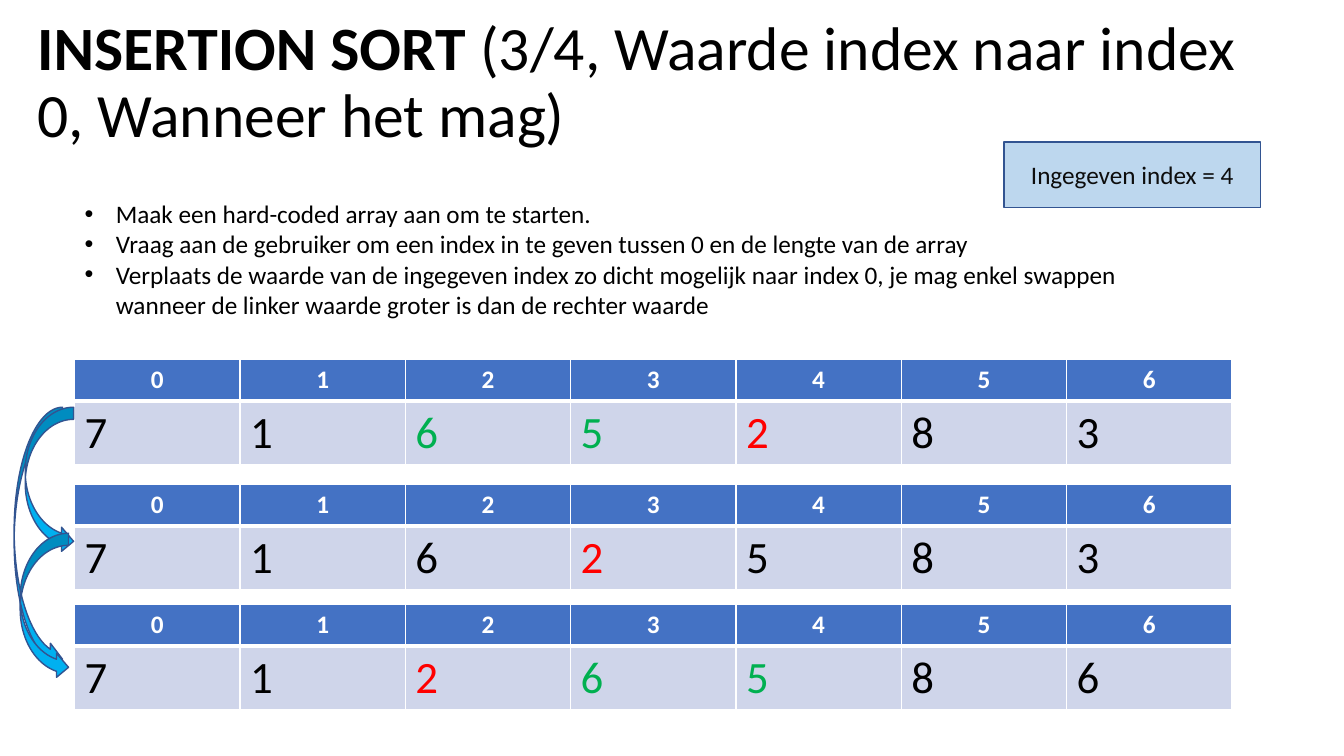
from dataclasses import dataclass

from lxml.etree import SubElement
from pptx import Presentation
from pptx.dml.color import RGBColor
from pptx.enum.shapes import MSO_SHAPE as Preset
from pptx.enum.text import MSO_ANCHOR as Anchor, PP_ALIGN as Align
from pptx.oxml.ns import qn
from pptx.util import Inches, Pt

BLACK, WHITE, RED, GREEN = "000000", "FFFFFF", "FF0000", "00B050"
OUTLINE = "325491"
TABLE_LEFT, COLUMN_WIDTH = 0.74, 1.64
HEADER_HEIGHT, VALUE_HEIGHT = 0.41, 0.63
STEPS = [
    "Maak een hard-coded array aan om te starten.",
    "Vraag aan de gebruiker om een index in te geven tussen 0 en de lengte van de array",
    "Verplaats de waarde van de ingegeven index zo dicht mogelijk naar index 0, "
    "je mag enkel swappen wanneer de linker waarde groter is dan de rechter waarde",
]


@dataclass
class ArrayState:
    top: float
    values: list[int]
    colors: dict[int, str]


@dataclass
class Arrow:
    left: float
    top: float
    height: float
    width: float = 0.48


STATES = [
    ArrayState(3.57, [7, 1, 6, 5, 2, 8, 3], {2: GREEN, 3: GREEN, 4: RED}),
    ArrayState(4.81, [7, 1, 6, 2, 5, 8, 3], {3: RED}),
    ArrayState(6, [7, 1, 2, 6, 5, 8, 6], {2: RED, 3: GREEN, 4: GREEN}),
]
ARROWS = [Arrow(0.14, 4.04, 2.62), Arrow(0.25, 4.04, 1.45), Arrow(0.2, 5.29, 1.45)]


def rgb(color: str) -> RGBColor:
    return RGBColor.from_string(color)


def add_span(para, text: str, size: float, color: str = BLACK, bold: bool = False) -> None:
    span = para.add_run()
    span.text = text
    for name, value in {"name": "Calibri", "size": Pt(size), "bold": bold}.items():
        setattr(span.font, name, value)
    span.font.color.rgb = rgb(color)


def add_box(page, left: float, top: float, width: float, height: float):
    box = page.shapes.add_textbox(*map(Inches, (left, top, width, height)))
    box.text_frame.word_wrap = True
    return box.text_frame


def add_preset(page, preset, left: float, top: float, width: float, height: float, fill: str):
    shape = page.shapes.add_shape(preset, *map(Inches, (left, top, width, height)))
    shape.shadow.inherit = False
    shape.fill.solid()
    shape.fill.fore_color.rgb = rgb(fill)
    shape.line.color.rgb = rgb(OUTLINE)
    shape.line.width = Pt(1)
    return shape


def add_bullet(para) -> None:
    properties = para._p.get_or_add_pPr()
    properties.set("marL", str(Inches(0.31)))
    properties.set("indent", str(-Inches(0.31)))
    SubElement(properties, qn("a:buFont"), typeface="Arial")
    SubElement(properties, qn("a:buChar"), char="•")


def set_borders(cell, top: float, bottom: float) -> None:
    """Draw white cell borders; must run before the cell is filled."""
    properties = cell._tc.get_or_add_tcPr()
    for side, width in {"L": 1, "R": 1, "T": top, "B": bottom}.items():
        line = SubElement(properties, qn(f"a:ln{side}"), w=str(Pt(width)))
        solid = SubElement(line, qn("a:solidFill"))
        SubElement(solid, qn("a:srgbClr"), val=WHITE)


def fill_cell(cell, text: str, fill: str, size: float, color: str, header: bool) -> None:
    set_borders(cell, top=1 if header else 3, bottom=3 if header else 1)
    cell.fill.solid()
    cell.fill.fore_color.rgb = rgb(fill)
    para = cell.text_frame.paragraphs[0]
    para.alignment = Align.CENTER if header else Align.LEFT
    add_span(para, text, size, color, bold=header)


def add_array(page, state: ArrayState) -> None:
    count = len(state.values)
    place = (TABLE_LEFT, state.top, count * COLUMN_WIDTH, HEADER_HEIGHT + VALUE_HEIGHT)
    table = page.shapes.add_table(2, count, *map(Inches, place)).table
    for row, height in zip(table.rows, (HEADER_HEIGHT, VALUE_HEIGHT)):
        row.height = Inches(height)
    for index, value in enumerate(state.values):
        table.columns[index].width = Inches(COLUMN_WIDTH)
        fill_cell(table.cell(0, index), str(index), "4472C4", 18, WHITE, True)
        color = state.colors.get(index, BLACK)
        fill_cell(table.cell(1, index), str(value), "CFD5EA", 32, color, False)


def add_title(page) -> None:
    frame = add_box(page, 0.27, 0.11, 12.59, 1.45)
    frame.vertical_anchor = Anchor.MIDDLE
    para = frame.paragraphs[0]
    para.line_spacing = 0.9
    add_span(para, "INSERTION SORT ", 44, bold=True)
    add_span(para, "(3/4, Waarde index naar index 0, Wanneer het mag)", 44)


def add_steps(page) -> None:
    frame = add_box(page, 0.74, 1.92, 10.98, 1.31)
    for number, step in enumerate(STEPS):
        para = frame.add_paragraph() if number else frame.paragraphs[0]
        add_bullet(para)
        add_span(para, step, 18)


def add_index_label(page) -> None:
    frame = add_preset(page, Preset.RECTANGLE, 9.96, 1.41, 2.54, 0.65, "BDD7EE").text_frame
    frame.vertical_anchor = Anchor.MIDDLE
    para = frame.paragraphs[0]
    para.alignment = Align.CENTER
    add_span(para, "Ingegeven index = 4", 18, "0D0D0D")


def main() -> None:
    deck = Presentation()
    deck.slide_width, deck.slide_height = Inches(13.33), Inches(7.5)
    page = deck.slides.add_slide(deck.slide_layouts[6])
    add_title(page)
    add_steps(page)
    add_index_label(page)
    for state in STATES:
        add_array(page, state)
    for arrow in ARROWS:
        add_preset(page, Preset.CURVED_RIGHT_ARROW, arrow.left, arrow.top,
                   arrow.width, arrow.height, "00B0F0")
    deck.save("out.pptx")


if __name__ == "__main__":
    main()
